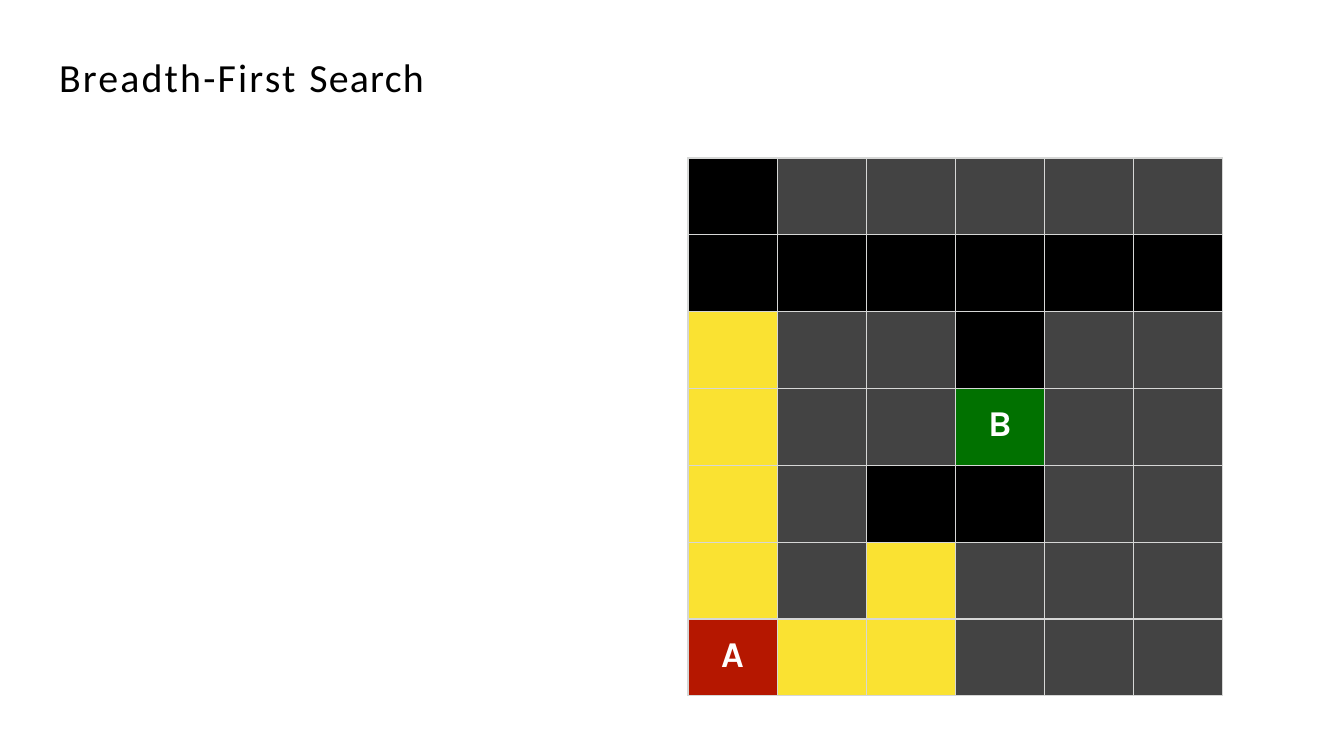
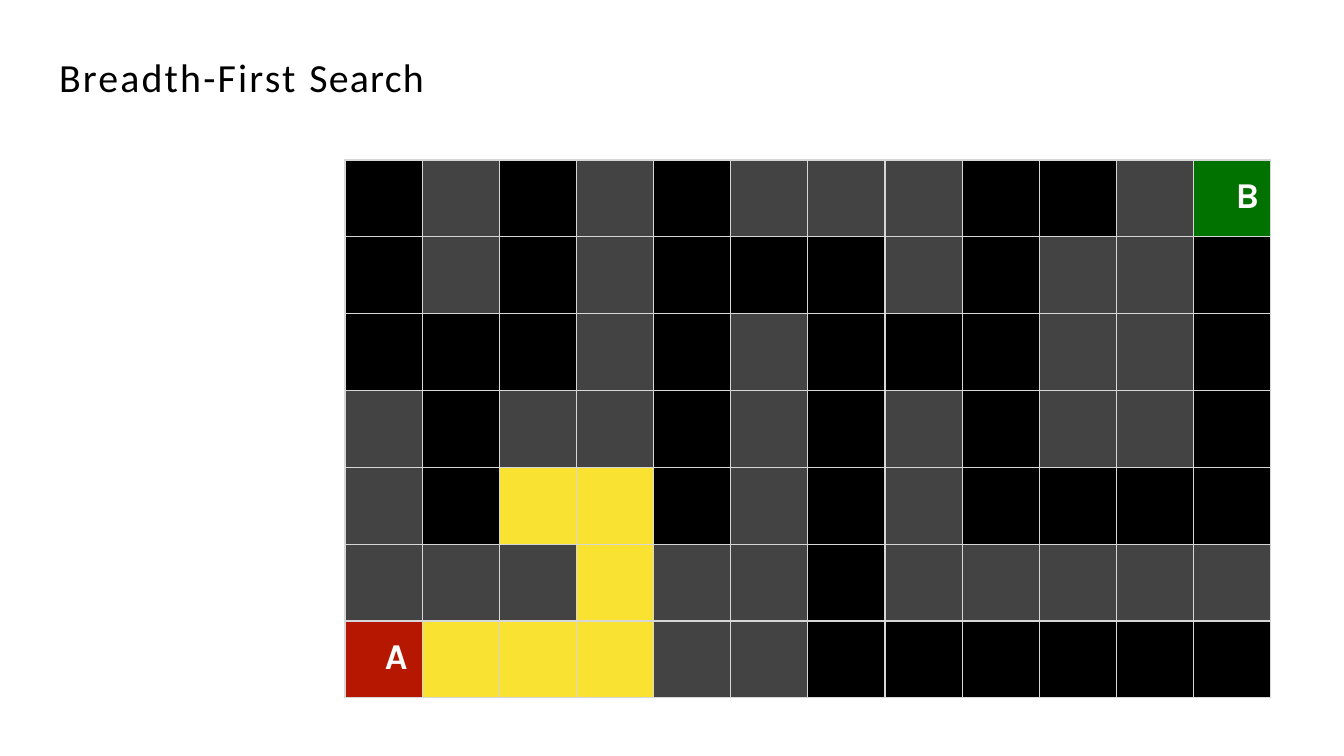
"""Build two slides that show breadth-first search exploring a maze."""
from dataclasses import dataclass

from pptx import Presentation
from pptx import util as u
from pptx.dml.color import RGBColor
from pptx.enum import text
from pptx.oxml import parse_xml
from pptx.oxml.ns import nsdecls

EMU_PER_INCH = 914400
PX_PER_INCH = 100.8
SLIDE_SIZE = (1344, 756)
TITLE_BOX = (58, 52, 408, 49)
TITLE_RUNS = (("Breadth-First ", 160), ("Search", 90))
TITLE_ONLY_LAYOUT = 5

COLOURS = {
    "title": "000000",
    "letter": "FFFFFF",
    "border": "D6D7D6",
    "wall": "434343",
    "open": "000000",
    "explored": "FAE232",
    "start": "B51700",
    "goal": "017100",
}
CELL_KINDS = {"#": "wall", ".": "open", "*": "explored", "A": "start", "B": "goal"}


@dataclass(frozen=True)
class Maze:
    """A maze table: its box in px, its rows and the indent of its letters."""

    left: int
    top: int
    width: int
    height: int
    rows: tuple[str, ...]
    letter_indents: dict[str, int] | None = None


MAZES = (
    Maze(688, 158, 535, 538, (
        ".#####",
        "......",
        "*##.##",
        "*##B##",
        "*#..##",
        "*#*###",
        "A**###",
    )),
    Maze(345, 160, 926, 538, (
        ".#.#.###..#B",
        ".#.#...#.##.",
        "...#.#...##.",
        "#.##.#.#.##.",
        "#.**.#.#....",
        "###*##.#####",
        "A***##......",
    ), {"A": 40, "B": 42}),
)


def px(length: float) -> u.Emu:
    """Turn a length in px into EMU."""
    return u.Emu(round(length * EMU_PER_INCH / PX_PER_INCH))


def colour(name: str) -> RGBColor:
    """Look up a named colour."""
    return RGBColor.from_string(COLOURS[name])


def style_layout(layout) -> None:
    """Place the title that all slides inherit."""
    title = layout.placeholders[0]
    title.left, title.top, title.width, title.height = map(px, TITLE_BOX)
    frame = title.text_frame
    frame.margin_left = frame.margin_top = px(1)
    frame.margin_right = frame.margin_bottom = 0
    frame.vertical_anchor = text.MSO_ANCHOR.MIDDLE
    frame.auto_size = text.MSO_AUTO_SIZE.NONE


def write_title(slide) -> None:
    """Write the title with its letter spacing."""
    paragraph = slide.shapes.title.text_frame.paragraphs[0]
    paragraph.alignment = text.PP_ALIGN.LEFT
    for words, spacing in TITLE_RUNS:
        run = paragraph.add_run()
        run.text = words
        run.font.name = "Calibri"
        run.font.size = u.Pt(28.5)
        run.font.color.rgb = colour("title")
        run.font._element.set("spc", str(spacing))


def style_cell(cell, kind: str) -> None:
    """Give a cell its four borders and its fill."""
    properties = cell._tc.get_or_add_tcPr()
    for side in "LRTB":
        properties.append(parse_xml(
            f'<a:ln{side} {nsdecls("a")} w="{u.Pt(1)}"><a:solidFill>'
            f'<a:srgbClr val="{COLOURS["border"]}"/></a:solidFill></a:ln{side}>'
        ))
    cell.fill.solid()
    cell.fill.fore_color.rgb = colour(kind)


def write_letter(cell, letter: str, indents: dict[str, int] | None) -> None:
    """Write a start or goal letter, centred unless it has an indent."""
    cell.margin_left = px(indents[letter]) if indents else 0
    cell.margin_right = cell.margin_bottom = 0
    cell.margin_top = px(15)
    cell.text_frame.text = letter
    paragraph = cell.text_frame.paragraphs[0]
    paragraph.alignment = text.PP_ALIGN.LEFT if indents else text.PP_ALIGN.CENTER
    font = paragraph.runs[0].font
    font.name = "Karla"
    font.size = u.Pt(26)
    font.bold = True
    font.color.rgb = colour("letter")


def draw_maze(slide, maze: Maze) -> None:
    """Draw a maze as a table of equal cells."""
    row_count, column_count = len(maze.rows), len(maze.rows[0])
    box = map(px, (maze.left, maze.top, maze.width, maze.height))
    table = slide.shapes.add_table(row_count, column_count, *box).table
    table.first_row = table.horz_banding = False
    for column in table.columns:
        column.width = px(maze.width / column_count)
    for row, symbols in zip(table.rows, maze.rows):
        row.height = px(maze.height / row_count)
        for cell, symbol in zip(row.cells, symbols):
            style_cell(cell, CELL_KINDS[symbol])
            if symbol.isalpha():
                write_letter(cell, symbol, maze.letter_indents)


def main() -> None:
    """Build and save the presentation."""
    presentation = Presentation()
    presentation.slide_width, presentation.slide_height = map(px, SLIDE_SIZE)
    layout = presentation.slide_layouts[TITLE_ONLY_LAYOUT]
    style_layout(layout)
    for maze in MAZES:
        slide = presentation.slides.add_slide(layout)
        write_title(slide)
        draw_maze(slide, maze)
    presentation.save("out.pptx")


if __name__ == "__main__":
    main()
